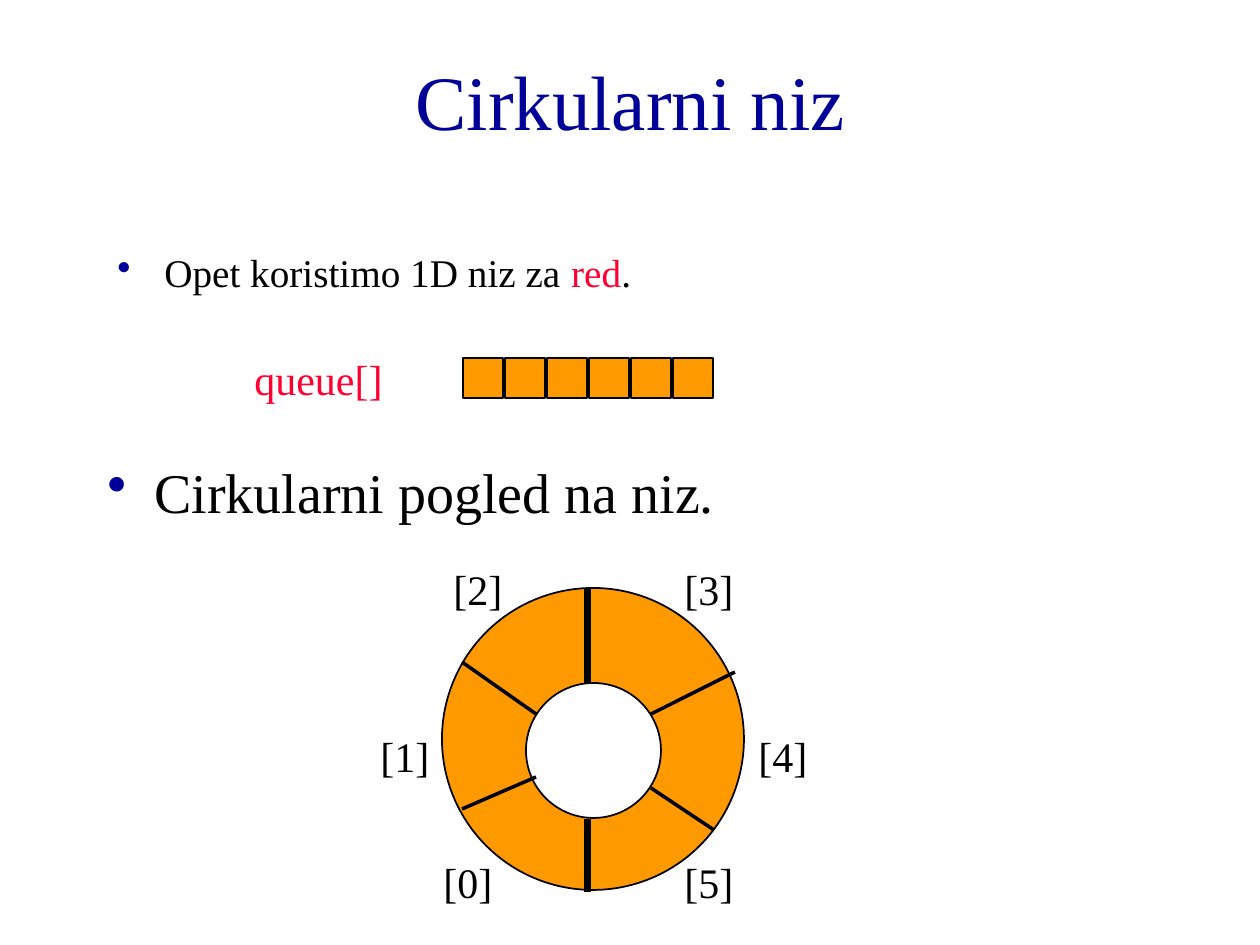
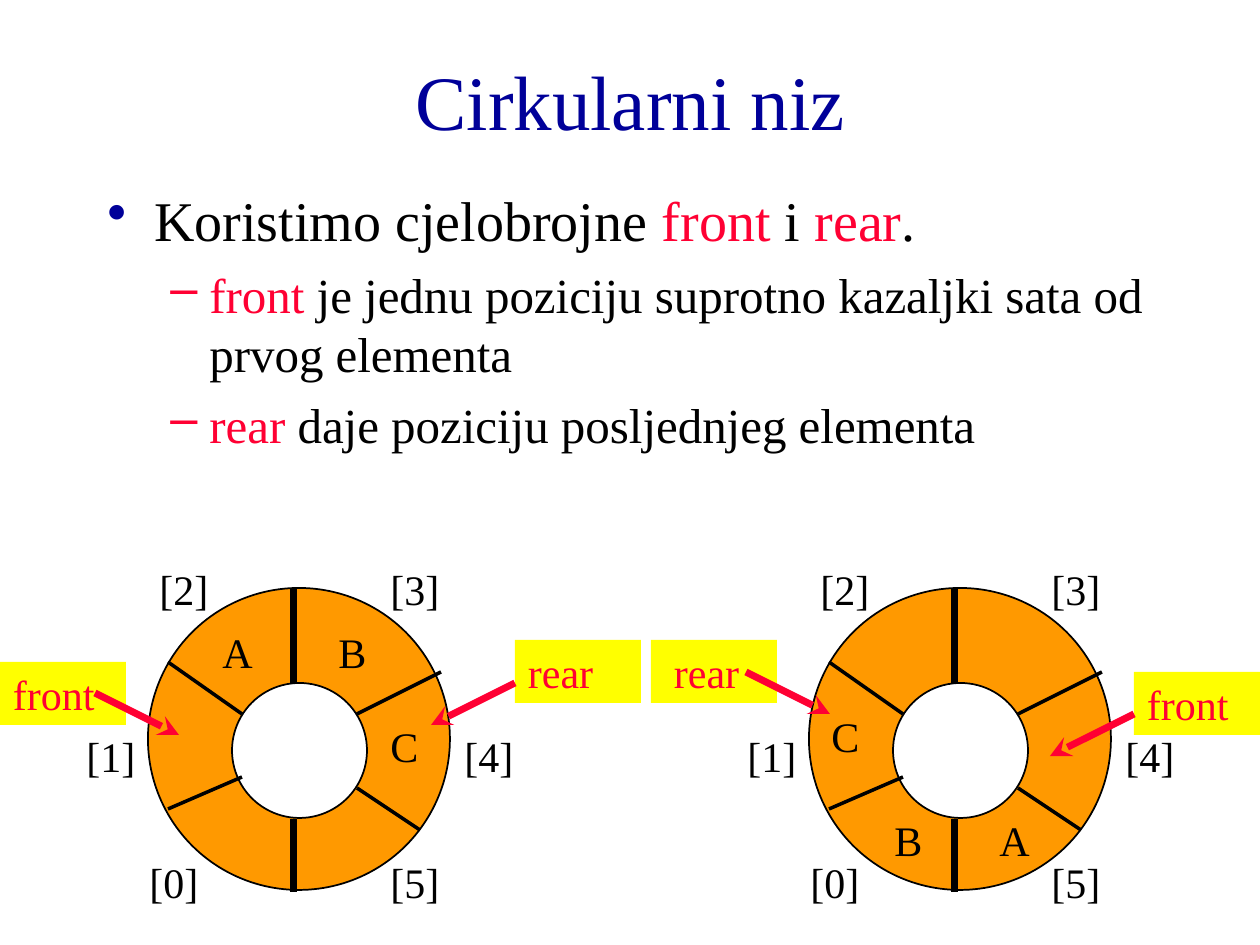
from lxml.etree import SubElement
from pptx import Presentation
from pptx.dml.color import RGBColor
from pptx.enum.shapes import MSO_CONNECTOR, MSO_SHAPE
from pptx.enum.text import MSO_ANCHOR, MSO_AUTO_SIZE, PP_ALIGN
from pptx.oxml.ns import qn
from pptx.util import Pt

EMU_PER_PX = 914400 / 126
FONT = "Times New Roman"
NAVY = RGBColor(0x00, 0x00, 0x99)
RED = RGBColor(0xFF, 0x00, 0x33)
ORANGE = RGBColor(0xFF, 0x99, 0x00)
YELLOW = RGBColor(0xFF, 0xFF, 0x00)
BLACK = RGBColor(0x00, 0x00, 0x00)
WHITE = RGBColor(0xFF, 0xFF, 0xFF)

TITLE = "Cirkularni niz"

# Bullet paragraphs: level, size in points, runs of (text, colour)
ARRAY_POINT = [(0, 22.4, [("Opet koristimo 1D niz za ", BLACK), ("red", RED), (".", BLACK)])]
CIRCLE_POINT = [(0, 32, [("Cirkularni pogled na niz.", BLACK)])]
INDEX_POINTS = [
    (0, 32, [("Koristimo cjelobrojne ", BLACK), ("front ", RED), ("i ", BLACK),
             ("rear", RED), (".", BLACK)]),
    (1, 28, [("front ", RED),
             ("je jednu poziciju suprotno kazaljki sata od prvog elementa", BLACK)]),
    (1, 28, [("rear ", RED), ("daje poziciju posljednjeg elementa", BLACK)]),
]
# Per level: character, colour, left margin, hanging indent, space before
BULLETS = [("•", NAVY, 47, 47, 8), ("–", RED, 102, 39, 7)]

QUEUE_NAME = "queue[]"
QUEUE_LEFT, QUEUE_TOP, CELL_SIZE, CELL_STEP, CELL_COUNT = 463, 358, 40, 42, 6

# Ring parts, measured from the ring's top left corner
RING_TOP, RING_SIZE = 588, 302
HOLE = (84, 95, 135, 135)
DIVIDERS = [  # start, end, width in points
    ((146, 0), (146, 95), 4),
    ((146, 231), (146, 304), 4),
    ((20, 74), (94, 126), 2),
    ((94, 189), (20, 221), 2),
    ((209, 126), (293, 84), 2),
    ((209, 200), (272, 242), 2),
]
INDEX_PLACES = [(-11, 262), (-74, 136), (-1, -31), (230, -31), (304, 136), (230, 262)]

# Ring left and the elements it holds
EMPTY_RING = (442, [])
FILLED_RINGS = [
    (148, [("A", 62, 32), ("B", 178, 32), ("C", 230, 126)]),
    (809, [("A", 178, 220), ("B", 73, 220), ("C", 10, 116)]),
]
# Name, tag corner, text inset, arrow start, arrow direction
POINTERS = [
    ("front", (0, 662), 13, (95, 693), 1),
    ("rear", (515, 640), 13, (515, 683), -1),
    ("front", (1134, 672), 13, (1134, 714), -1),
    ("rear", (651, 640), 23, (746, 672), 1),
]
ARROW_REACH = (84, 42)


def px(*lengths):
    return [round(length * EMU_PER_PX) for length in lengths]


def write(paragraph, runs, size, space_before=0):
    paragraph.font.name = FONT
    paragraph.font.size = Pt(size)
    paragraph.space_before = Pt(space_before)
    for text, colour in runs:
        run = paragraph.add_run()
        run.text = text
        run.font.color.rgb = colour


def add_outline(parts, kind, box, fill, outlined=True):
    shape = parts.add_shape(kind, *px(*box))
    shape.shadow.inherit = False
    shape.fill.solid()
    shape.fill.fore_color.rgb = fill
    if outlined:
        shape.line.color.rgb = BLACK
        shape.line.width = Pt(1)
    else:
        shape.line.fill.background()
    return shape


def add_line(parts, start, end, colour, width, arrow=False):
    line = parts.add_connector(MSO_CONNECTOR.STRAIGHT, *px(*start, *end))
    line.line.color.rgb = colour
    line.line.width = Pt(width)
    if arrow:
        SubElement(line.line._get_or_add_ln(), qn("a:tailEnd"), type="stealth")
    SubElement(line._element.spPr, qn("a:effectLst"))


def fill_label(shape, text, colour):
    frame = shape.text_frame
    frame.word_wrap = True
    frame.auto_size = MSO_AUTO_SIZE.SHAPE_TO_FIT_TEXT
    frame.vertical_anchor = MSO_ANCHOR.TOP
    frame.paragraphs[0].alignment = PP_ALIGN.LEFT
    write(frame.paragraphs[0], [(text, colour)], 24, 15)


def add_label(parts, text, box, colour=BLACK):
    fill_label(parts.add_textbox(*px(*box)), text, colour)


def add_bullets(slide, points, box):
    frame = slide.shapes.add_textbox(*px(*box)).text_frame
    frame.word_wrap = True
    for number, (level, size, runs) in enumerate(points):
        paragraph = frame.add_paragraph() if number else frame.paragraphs[0]
        character, colour, margin, hanging, space = BULLETS[level]
        paragraph.level = level
        write(paragraph, runs, size, space)
        properties = paragraph._p.get_or_add_pPr()
        left, indent = px(margin, -hanging)
        properties.set("marL", str(left))
        properties.set("indent", str(indent))
        bullet_colour = properties.makeelement(qn("a:buClr"))
        SubElement(bullet_colour, qn("a:srgbClr"), val=str(colour))
        bullet = properties.makeelement(qn("a:buChar"), char=character)
        properties.find(qn("a:spcBef")).addnext(bullet_colour)
        bullet_colour.addnext(bullet)


def add_queue(slide):
    parts = slide.shapes.add_group_shape().shapes
    for cell in range(CELL_COUNT):
        left = QUEUE_LEFT + cell * CELL_STEP
        add_outline(parts, MSO_SHAPE.RECTANGLE, (left, QUEUE_TOP, CELL_SIZE, CELL_SIZE), ORANGE)
    add_label(parts, QUEUE_NAME, (242, 347, 179, 63), RED)


def add_ring(slide, ring_left, elements):
    parts = slide.shapes.add_group_shape().shapes

    def place(x, y):
        return ring_left + x, RING_TOP + y

    add_outline(parts, MSO_SHAPE.OVAL, (*place(0, 0), RING_SIZE, RING_SIZE), ORANGE)
    x, y, *hole_size = HOLE
    add_outline(parts, MSO_SHAPE.OVAL, (*place(x, y), *hole_size), WHITE)
    for start, end, width in DIVIDERS:
        add_line(parts, place(*start), place(*end), BLACK, width)
    for index, corner in enumerate(INDEX_PLACES):
        add_label(parts, f"[{index}]", (*place(*corner), 116, 63))
    for element, x, y in elements:
        add_label(parts, element, (*place(x, y), 84, 63))


def add_pointer(slide, name, corner, inset, start, direction):
    parts = slide.shapes.add_group_shape().shapes
    tag = add_outline(parts, MSO_SHAPE.RECTANGLE, (*corner, 126, 63), YELLOW, outlined=False)
    fill_label(tag, name, RED)
    tag.text_frame.margin_left, = px(inset)
    reach, drop = ARROW_REACH
    end = start[0] + direction * reach, start[1] + drop
    add_line(parts, start, end, RED, 4, arrow=True)


def add_titled_slide(deck):
    slide = deck.slides.add_slide(deck.slide_layouts[5])
    title = slide.shapes.title
    title.left, title.top, title.width, title.height = px(95, 21, 1071, 158)
    frame = title.text_frame
    frame.auto_size = MSO_AUTO_SIZE.NONE
    frame.vertical_anchor = MSO_ANCHOR.MIDDLE
    frame.paragraphs[0].alignment = PP_ALIGN.CENTER
    write(frame.paragraphs[0], [(TITLE, NAVY)], 44)
    return slide


def main():
    deck = Presentation()
    deck.slide_width, deck.slide_height = px(1260, 945)

    circular_view = add_titled_slide(deck)
    add_bullets(circular_view, ARRAY_POINT, (105, 242, 1071, 63))
    add_queue(circular_view)
    add_bullets(circular_view, CIRCLE_POINT, (95, 451, 1071, 63))
    add_ring(circular_view, *EMPTY_RING)

    front_and_rear = add_titled_slide(deck)
    add_bullets(front_and_rear, INDEX_POINTS, (95, 179, 1071, 368))
    for ring in FILLED_RINGS:
        add_ring(front_and_rear, *ring)
    for pointer in POINTERS:
        add_pointer(front_and_rear, *pointer)

    deck.save("out.pptx")


if __name__ == "__main__":
    main()
